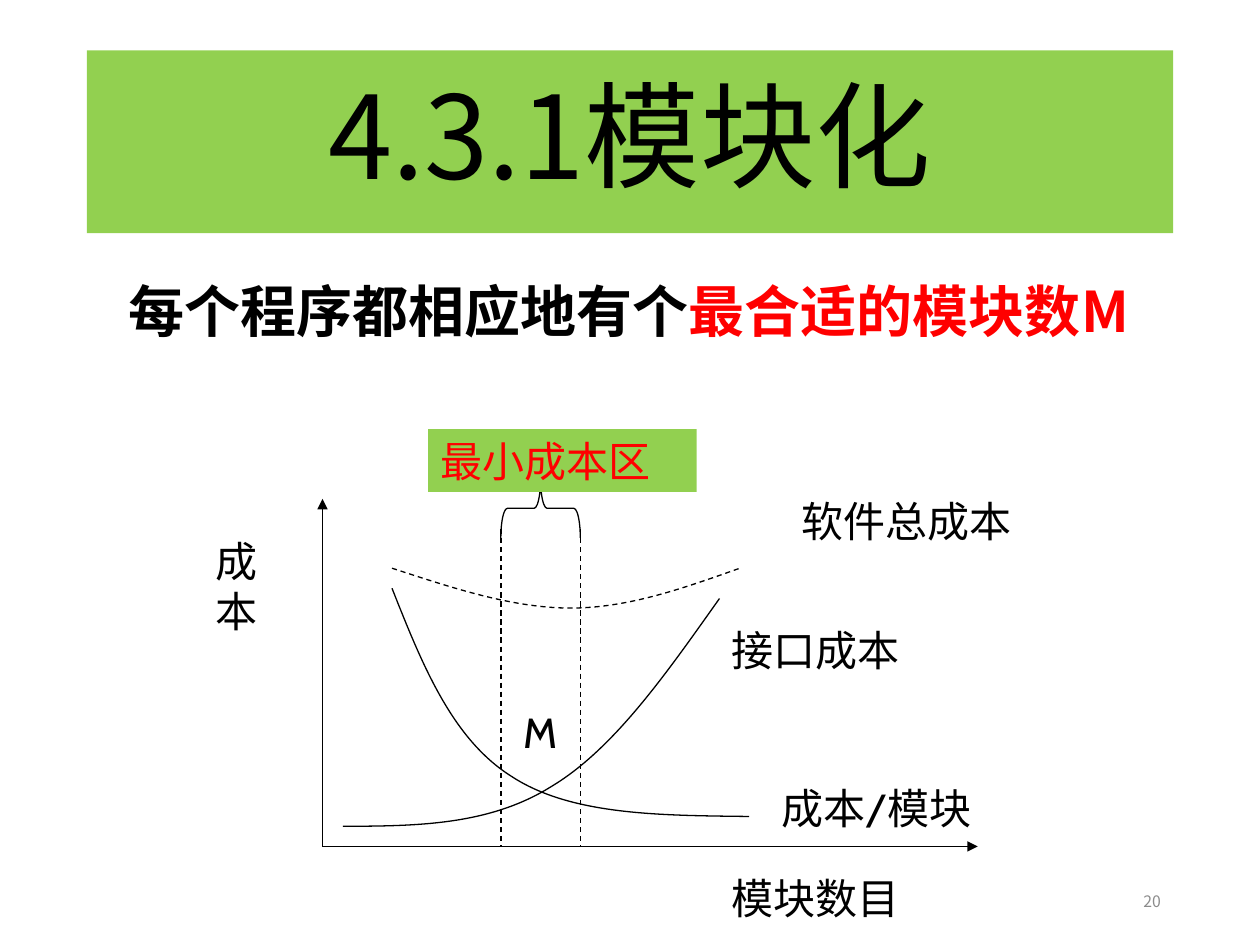
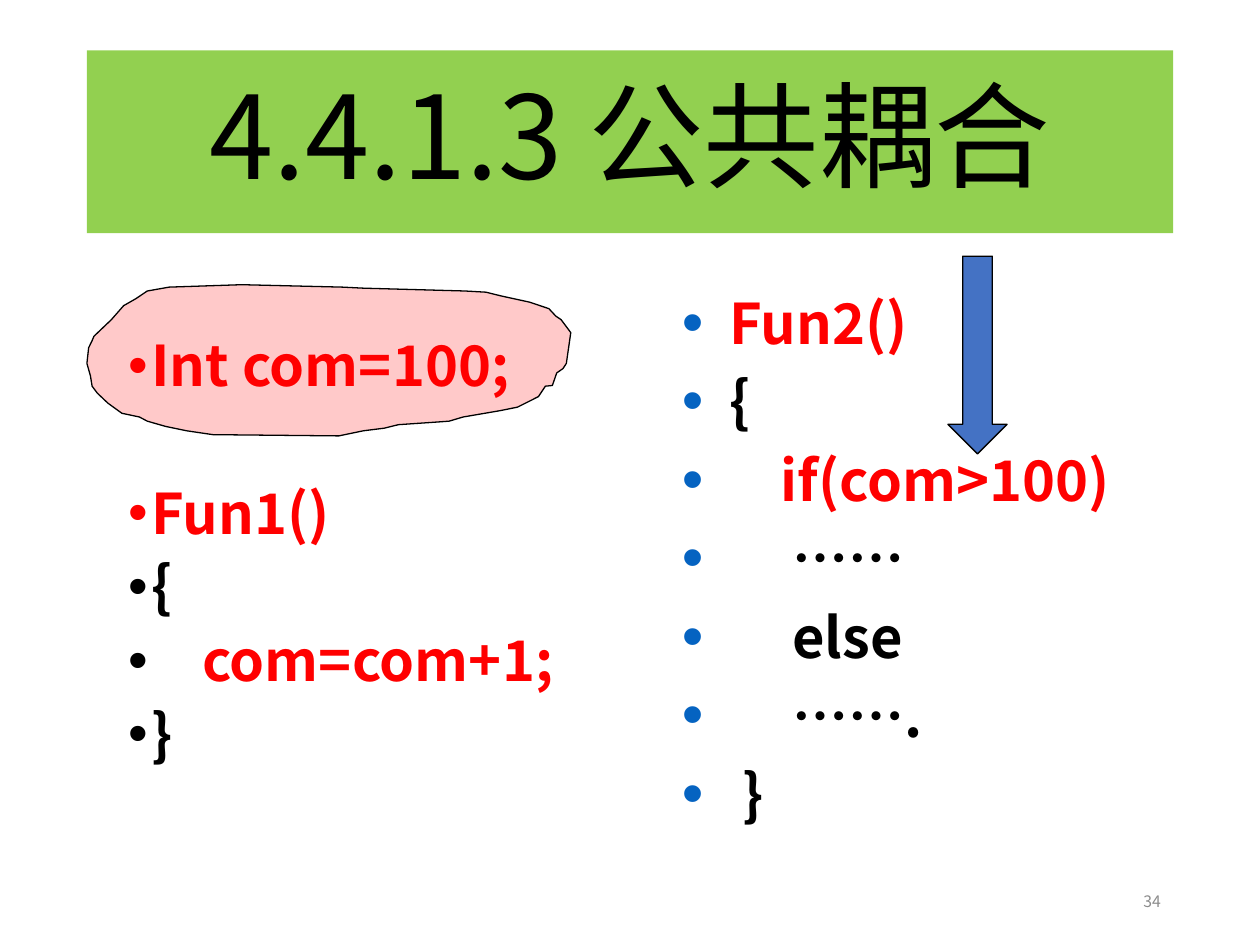
from lxml import etree
from pptx import Presentation
from pptx.dml.color import RGBColor
from pptx.enum.dml import MSO_LINE
from pptx.enum.shapes import MSO_CONNECTOR, MSO_SHAPE
from pptx.enum.text import MSO_ANCHOR, PP_ALIGN
from pptx.oxml.ns import qn
from pptx.util import Pt

BLACK = RGBColor(0, 0, 0)
RED = RGBColor(255, 0, 0)
GREEN = RGBColor(0x92, 0xD0, 0x50)
BLUE = RGBColor(0x44, 0x72, 0xC4)
DOT = RGBColor(0x05, 0x63, 0xC1)
GRAY = RGBColor(0x8C, 0x8C, 0x8C)
SANS = "Noto Sans CJK SC"
CABIN = "Cabin"
DASH = MSO_LINE.DASH
LEFT, RIGHT = PP_ALIGN.LEFT, PP_ALIGN.RIGHT
CENTER, JUST = PP_ALIGN.CENTER, PP_ALIGN.JUSTIFY
MIDDLE, TOP = MSO_ANCHOR.MIDDLE, MSO_ANCHOR.TOP
RECT, BRACE = MSO_SHAPE.RECTANGLE, MSO_SHAPE.LEFT_BRACE
ARROW = MSO_SHAPE.DOWN_ARROW
STRAIGHT = MSO_CONNECTOR.STRAIGHT

TITLE = (49.6, 28.8, 620.8, 104.4)
NUMBER = (508.4, 500.4, 162, 28.8)

# Outline of the cloud around the shared variable
CLOUD = [
    (258, 64), (246, 70), (236, 72), (215, 75.6), (207, 78), (200, 78.5),
    (178, 80), (170, 82), (158, 83.5), (144, 86.4), (72, 85.7), (57, 83.5),
    (45, 81), (34.5, 78), (30, 75.6), (20, 73.5), (12, 67.7), (6, 62),
    (3, 58), (2, 52), (0, 45), (1, 36), (3, 32), (4, 29.5), (14, 20),
    (21, 12), (28, 8), (34.5, 3.6), (47, 1.4), (88.5, 0), (146, 1.4),
    (158, 2), (216, 3.6), (228, 4.3), (237, 6.5), (253, 10), (264, 13.7),
    (268, 18), (271, 20), (276.5, 27.4), (274, 45), (272, 48),
    (268.5, 50.4), (266, 57.6), (262, 58),
]

# Cost curves: start point, then Bezier control points in threes
FACE = [(80, 227.2), (121, 227), (163, 227), (199, 204.5),
        (235, 183), (265, 139.5), (295.2, 97)]
UNIT = [(108, 91.2), (125, 134), (142, 177), (176, 198.5),
        (210, 221), (261, 221), (312, 221.6)]
TOTAL = [(108, 79.7), (142.5, 91), (177, 102.5), (210, 102.5),
         (243, 102.5), (275, 91), (306.8, 79.7)]

# Labels of the cost chart: text, left, top, width, height
LABELS = [
    ("模块数目", 295.1, 249.8, 142, 36),
    ("成本", 0, 57.2, 45.4, 65),
    ("成本/模块", 323.3, 198.6, 158.4, 36),
    ("接口成本", 295.1, 108.2, 158.4, 36),
    ("软件总成本", 334.8, 34.4, 153.4, 36),
    ("M", 176.3, 155.3, 39.6, 36),
]

# Code lines: text, colour, bullet colour, extra indent, space before
FUN1 = [
    ("Int com=100;", RED, RED, 0, 7.5),
    ("Fun1()", RED, RED, 0, 49.5),
    ("{", BLACK, BLACK, 0, 7.5),
    ("com=com+1;", RED, BLACK, 29, 7.5),
    ("}", BLACK, BLACK, 0, 7.5),
]
FUN2 = [
    (text, color, DOT, shift, 6.45) for text, color, shift in [
        ("Fun2()", RED, 0), ("{", BLACK, 0), ("if(com>100)", RED, 29),
        ("……", BLACK, 36), ("else", BLACK, 36), ("…….", BLACK, 36),
        ("}", BLACK, 7.3),
    ]
]


def points(box):
    return [Pt(v) for v in box]


def add_run(para, text, size, color, font=SANS, bold=False):
    run = para.add_run()
    run.text = text
    run.font.size = Pt(size)
    run.font.bold = bold
    run.font.name = font
    run.font.color.rgb = color
    if font == SANS:
        etree.SubElement(run.font._element, qn("a:ea"), typeface=font)


def set_frame(shape, anchor=TOP, align=LEFT):
    frame = shape.text_frame
    frame.word_wrap = True
    frame.vertical_anchor = anchor
    frame.paragraphs[0].alignment = align
    return frame


def add_box(slide, box, anchor=TOP, align=LEFT):
    return set_frame(slide.shapes.add_textbox(*points(box)), anchor, align)


def add_form(slide, kind, box, fill=None, edge=None):
    form = slide.shapes.add_shape(kind, *points(box))
    paint(form, fill, edge)
    return form


def paint(form, fill=None, edge=None, dash=None):
    form.shadow.inherit = False
    if fill is None:
        form.fill.background()
    else:
        form.fill.solid()
        form.fill.fore_color.rgb = fill
    if edge is None:
        form.line.fill.background()
    else:
        stroke(form.line, edge, dash)


def stroke(line, color, dash=None):
    line.color.rgb = color
    line.width = Pt(0.75)
    if dash:
        line.dash_style = dash


def add_line(slide, start, end, dash=None, head=False):
    link = slide.shapes.add_connector(STRAIGHT, *points(start + end))
    stroke(link.line, BLACK, dash)
    if head:
        etree.SubElement(link.line._get_or_add_ln(), qn("a:tailEnd"),
                         type="triangle")
    etree.SubElement(link._element.spPr, qn("a:effectLst"))


def add_path(slide, box, spots, close=False):
    spots = [(Pt(box[0] + x), Pt(box[1] + y)) for x, y in spots]
    maker = slide.shapes.build_freeform(*spots[0])
    maker.add_line_segments(spots[1:], close=close)
    return maker.convert_to_shape()


def bend(form):
    """Turn each three line segments into one cubic Bezier curve."""
    route = form._element.find(".//" + qn("a:path"))
    steps = route.findall(qn("a:lnTo"))
    for i in range(0, len(steps), 3):
        curve = etree.SubElement(route, qn("a:cubicBezTo"))
        for step in steps[i:i + 3]:
            curve.append(step[0])
            route.remove(step)


def add_bullet(para, color, left, hang, scale=100):
    props = para._p.get_or_add_pPr()
    props.set("marL", str(Pt(left)))
    props.set("indent", str(Pt(-hang)))
    tint = etree.SubElement(props, qn("a:buClr"))
    etree.SubElement(tint, qn("a:srgbClr"), val=str(color))
    etree.SubElement(props, qn("a:buSzPct"), val=str(scale * 1000))
    etree.SubElement(props, qn("a:buFont"), typeface="Arial")
    etree.SubElement(props, qn("a:buChar"), char="•")


def add_title(slide, text, box=TITLE):
    band = add_form(slide, RECT, box, GREEN)
    para = set_frame(band, MIDDLE, CENTER).paragraphs[0]
    para.line_spacing = 0.9
    add_run(para, text, 66, BLACK)


def add_number(slide, text, box=NUMBER):
    frame = add_box(slide, box, MIDDLE, RIGHT)
    add_run(frame.paragraphs[0], text, 9, GRAY)


def add_claim(slide, box):
    para = add_box(slide, box, align=JUST).paragraphs[0]
    para.line_spacing = 0.9
    add_run(para, "每个程序都相应地有个", 32, BLACK, bold=True)
    add_run(para, "最合适的模块数M", 32, RED, bold=True)


def add_costs(slide, box):
    left, top = box[:2]

    def at(x, y):
        return left + x, top + y

    # Axes
    for end in (at(442.7, 238.7), at(68.3, 40.1)):
        add_line(slide, at(68.3, 238.7), end, head=True)
    # Curves
    for knots, dash in ((FACE, None), (UNIT, None), (TOTAL, DASH)):
        curve = add_path(slide, box, knots)
        bend(curve)
        paint(curve, edge=BLACK, dash=dash)
    # Zone of least cost
    for x in (170.3, 215.7):
        add_line(slide, at(x, 57.4), at(x, 238.7), dash=DASH)
    brace = add_form(slide, BRACE, at(176, 22.8) + (33.8, 45.4), edge=BLACK)
    brace.rotation = 90
    brace.adjustments[0] = 0.11
    zone = add_form(slide, RECT, at(128.7, 0.2) + (153.4, 36), GREEN)
    add_run(set_frame(zone).paragraphs[0], "最小成本区", 24, RED, CABIN)
    # Labels
    for text, x, y, width, height in LABELS:
        frame = add_box(slide, at(x, y) + (width, height))
        add_run(frame.paragraphs[0], text, 24, BLACK, CABIN)


def add_code(slide, box, lines, hang, spacing, scale=100):
    frame = add_box(slide, box)
    for i, (text, color, dot, shift, before) in enumerate(lines):
        para = frame.add_paragraph() if i else frame.paragraphs[0]
        para.line_spacing = spacing
        para.space_before = Pt(before if i else 0)
        add_bullet(para, dot, hang + shift, hang + shift, scale)
        add_run(para, text, 32, color, bold=True)


def add_cloud(slide, box):
    cloud = add_path(slide, box, CLOUD, close=True)
    paint(cloud, RED, BLACK)
    tint = cloud._element.spPr.find(qn("a:solidFill"))[0]
    etree.SubElement(tint, qn("a:alpha"), val="21000")


def add_arrow(slide, box):
    arrow = add_form(slide, ARROW, box, BLUE, BLACK)
    arrow.adjustments[0] = 0.5
    arrow.adjustments[1] = 0.5


def build_costs(slide):
    add_claim(slide, (66.2, 158.9, 591.2, 374.4))
    add_number(slide, "20")
    add_costs(slide, (116, 245, 490, 286))
    add_title(slide, "4.3.1模块化")


def build_code(slide):
    add_code(slide, (66.2, 189.9, 322.6, 324), FUN1, 13.2, 0.9)
    add_number(slide, "34")
    add_code(slide, (382.5, 161.3, 322.6, 324), FUN2, 27.2, 1.0, 110)
    add_arrow(slide, (541.7, 146.4, 33.8, 113))
    add_cloud(slide, (49.7, 162.7, 276.5, 86.4))
    add_title(slide, "4.4.1.3 公共耦合")


def main():
    deck = Presentation()
    deck.slide_width, deck.slide_height = Pt(720), Pt(540)
    for build in (build_costs, build_code):
        build(deck.slides.add_slide(deck.slide_layouts[6]))
    deck.save("out.pptx")


if __name__ == "__main__":
    main()
